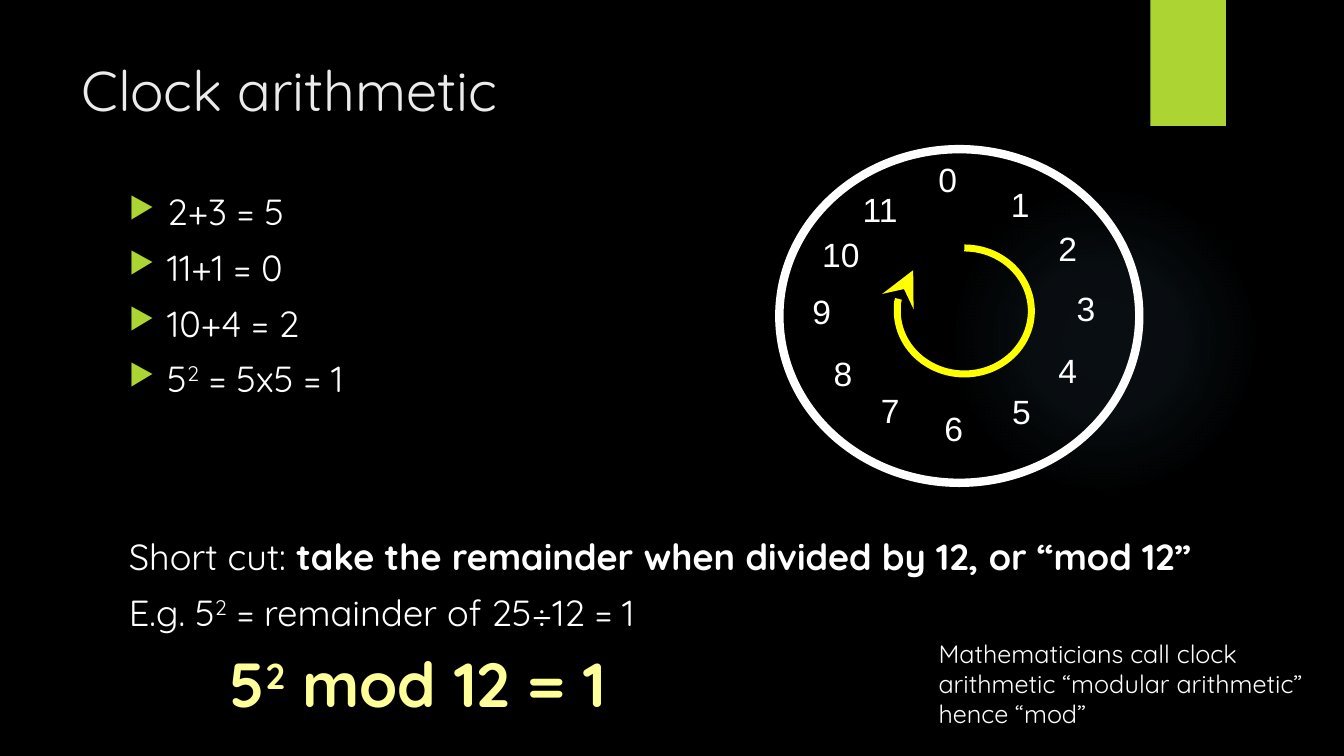
import pptx
import pptx.dml.color
import pptx.enum.shapes
import pptx.enum.text
import pptx.oxml
import pptx.oxml.ns
import pptx.util

COLOURS = {"background": "000000", "accent": "ACD433", "glow": "7AC4F0", "title": "EBEBEB",
           "text": "FFFFFF", "result": "FFFF99", "arrow": "FFFF00"}
TITLE = "Clock arithmetic"
# Each line is a list of (text, style) runs; styles: "" plain, "b" bold, "^" superscript.
SUMS = [
    [("2+3 = 5", "")],
    [("11+1 = 0", "")],
    [("10+4 = 2", "")],
    [("5", ""), ("2", "^"), (" = 5x5 = 1", "")],
]
SHORT_CUT = [
    [("Short cut: ", ""), ("take the remainder when divided by 12, or “mod 12”", "b")],
    [("E.g. 5", ""), ("2", "^"), (" = remainder of 25÷12 = 1", "")],
    [("5", "b"), ("2", "b^"), (" mod 12 = 1", "b")],
]
NOTE = "Mathematicians call clock arithmetic “modular arithmetic” hence “mod”"
# Hand-placed centres of the hours 0 to 11, in inches
HOUR_CENTRES = [(9.4, 1.78), (10.12, 2.03), (10.59, 2.46), (10.77, 3.06), (10.59, 3.67), (10.13, 4.08),
                (9.46, 4.25), (8.83, 4.07), (8.36, 3.7), (8.15, 3.09), (8.34, 2.52), (8.73, 2.08)]

BODY_LEFT, BODY_TOP, BODY_WIDTH = 1.18, 1.83, 11.58
BODY_SIZE, RESULT_SIZE, BODY_GAP = 25.9, 44.4, 8.7
LINE_PITCH = 0.57
SHAPE = pptx.enum.shapes.MSO_SHAPE
Inches, Pt = pptx.util.Inches, pptx.util.Pt


def rgb(name):
    return pptx.dml.color.RGBColor.from_string(COLOURS[name])


def xml(tag, content):
    return pptx.oxml.parse_xml(f'<a:{tag} {pptx.oxml.ns.nsdecls("a")} {content}')


def add_shape(shapes, kind, box, fill=None, line=None, width=0):
    sp = shapes.add_shape(kind, *map(Inches, box))
    sp.shadow.inherit = False
    if fill:
        sp.fill.solid()
        sp.fill.fore_color.rgb = rgb(fill)
    else:
        sp.fill.background()
    if line:
        sp.line.color.rgb = rgb(line)
        sp.line.width = Pt(width)
    else:
        sp.line.fill.background()
    return sp


def style_run(r, size, colour="text", font="Quicksand", style=""):
    r.font.size, r.font.name = Pt(size), font
    r.font.color.rgb = rgb(colour)
    r.font.bold = "b" in style
    if "^" in style:
        r.font._element.set("baseline", "30000")


def add_text(shapes, text, box, size, colour="text", font="Quicksand", wrap=True):
    tf = shapes.add_textbox(*map(Inches, box)).text_frame
    tf.word_wrap = wrap
    tf.text = text
    style_run(tf.paragraphs[0].runs[0], size, colour, font)
    return tf


def add_lines(shapes, lines, top, bullets=False):
    box = (BODY_LEFT, top, BODY_WIDTH, LINE_PITCH * len(lines))
    tf = shapes.add_textbox(*map(Inches, box)).text_frame
    tf.word_wrap = True
    for i, line in enumerate(lines):
        p = tf.paragraphs[0] if i == 0 else tf.add_paragraph()
        if i:
            p.space_before = Pt(BODY_GAP)
        result = all("b" in style for _, style in line)
        pPr = p._p.get_or_add_pPr()
        if bullets:
            pPr.set("marL", str(Inches(0.38)))
            pPr.set("indent", str(-Inches(0.38)))
            pPr.append(xml("buClr", f'><a:srgbClr val="{COLOURS["accent"]}"/></a:buClr>'))
            pPr.append(xml("buSzPct", 'val="80000"/>'))
            pPr.append(xml("buChar", 'char="▶"/>'))
        elif result:
            pPr.set("marL", str(Inches(1)))
        for text, style in line:
            r = p.add_run()
            r.text = text
            style_run(r, RESULT_SIZE if result else BODY_SIZE,
                      "result" if result else "text", style=style)


def add_glow(shapes):
    glow = add_shape(shapes, SHAPE.OVAL, (9.41, 1.83, 3.08, 3.08), "glow")
    stops = "".join(
        f'<a:gs pos="{pos}000"><a:srgbClr val="{COLOURS["glow"]}"><a:alpha val="{alpha}000"/></a:srgbClr></a:gs>'
        for pos, alpha in [(0, 7), (36, 6), (69, 0)])
    grad = xml("gradFill", f'><a:gsLst>{stops}</a:gsLst><a:path path="circle">'
               '<a:fillToRect l="50000" t="50000" r="50000" b="50000"/></a:path></a:gradFill>')
    solid = glow._element.spPr.find(pptx.oxml.ns.qn("a:solidFill"))
    solid.getparent().replace(solid, grad)


def add_clock(shapes):
    clock = shapes.add_group_shape().shapes
    add_shape(clock, SHAPE.OVAL, (7.73, 1.48, 3.57, 3.31), line="text", width=6)
    for hour, (x, y) in enumerate(HOUR_CENTRES):
        w, h = (0.39 if hour < 10 else 0.57), 0.5
        tf = add_text(clock, str(hour), (x - w / 2, y - h / 2, w, h), 24, font="Arial", wrap=False)
        tf.paragraphs[0].alignment = pptx.enum.text.PP_ALIGN.CENTER
    turn = add_shape(shapes, SHAPE.ARC, (8.9, 2.46, 1.33, 1.25), line="arrow", width=5)
    for i, degrees in enumerate((270, 218.57)):
        turn.adjustments[i] = degrees * 0.6  # 60000ths of a degree over 100000
    turn.line._get_or_add_ln().append(xml("tailEnd", 'type="stealth" w="lg" len="lg"/>'))


def main():
    prs = pptx.Presentation()
    prs.slide_width, prs.slide_height = Inches(13.33), Inches(7.5)
    slide = prs.slides.add_slide(prs.slide_layouts[6])
    slide.background.fill.solid()
    slide.background.fill.fore_color.rgb = rgb("background")
    shapes = slide.shapes
    add_glow(shapes)
    add_shape(shapes, SHAPE.RECTANGLE, (11.41, 0, 0.75, 1.25), "accent")
    add_text(shapes, TITLE, (0.71, 0.5, 10.85, 0.96), 40, "title")
    add_lines(shapes, SUMS, BODY_TOP, bullets=True)
    add_lines(shapes, SHORT_CUT, BODY_TOP + 6 * LINE_PITCH)
    add_clock(shapes)
    add_text(shapes, NOTE, (9.21, 6.28, 4.12, 1.01), 18)
    prs.save("out.pptx")


if __name__ == "__main__":
    main()
